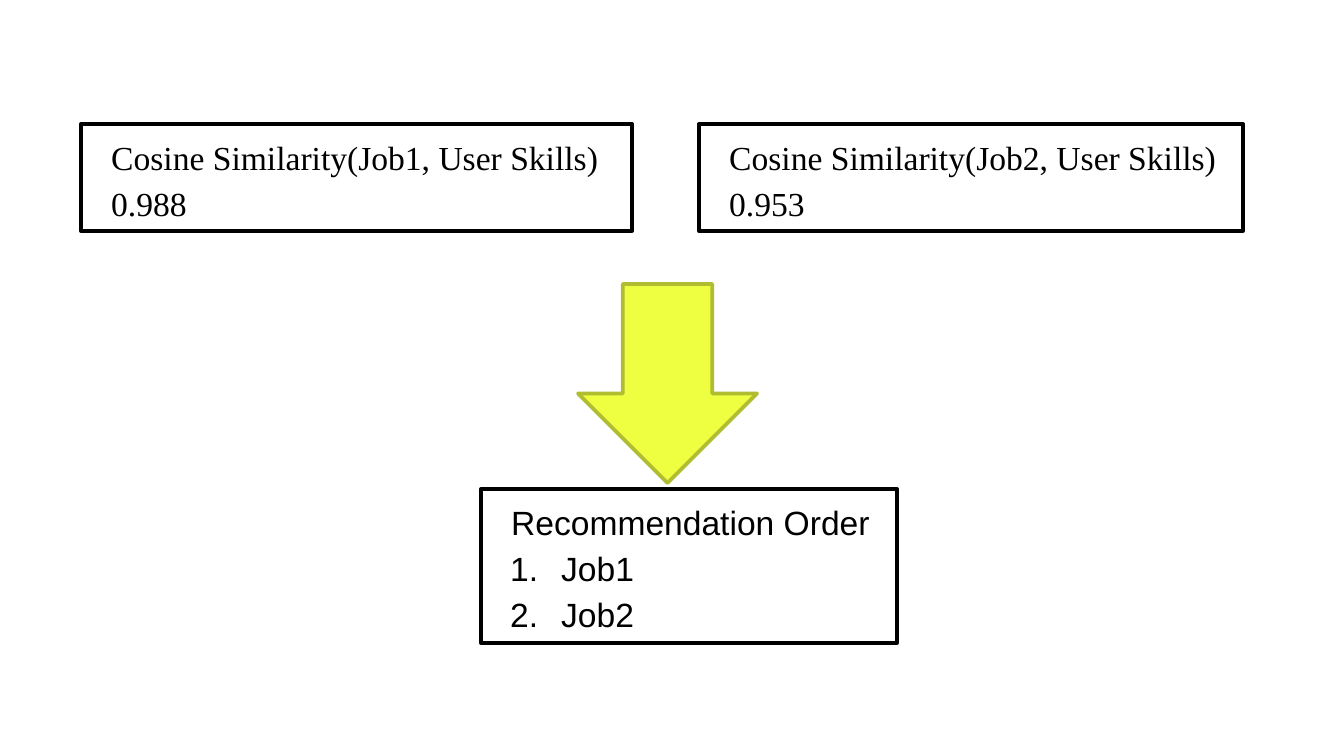
from lxml.etree import SubElement
from pptx import Presentation
from pptx.dml.color import RGBColor as Rgb
from pptx.enum.shapes import MSO_SHAPE as Kind
from pptx.enum.text import MSO_ANCHOR as Anchor, MSO_AUTO_SIZE as Fit, PP_ALIGN as Align
from pptx.oxml.ns import qn
from pptx.util import Pt

# Content
SCORES = [
    ("Cosine Similarity(Job1, User Skills)", "0.988"),
    ("Cosine Similarity(Job2, User Skills)", "0.953"),
]
HEAD = "Recommendation Order"
ORDER = ["Job1", "Job2"]

# Places in px: left, top, width, height
SIZE = (1344, 756)
TOP, HIGH = 124, 107
COLS = [(81, 551), (699, 544)]
ARROW = (578, 284, 179, 199)
RESULT = (481, 489, 416, 154)
INDENT = {"plain": (17, 0), "list": (67, -51)}

THEME = {
    "ink": Rgb.from_string("000000"),
    "paper": Rgb.from_string("FFFFFF"),
    "arrow": Rgb.from_string("EEFF41"),
    "edge": Rgb.from_string("B0BD30"),
    "serif": "Times New Roman",
    "sans": "Arial",
    "text": Pt(18),
    "line": Pt(2),
}
FRAME = {"word_wrap": True, "vertical_anchor": Anchor.TOP,
         "auto_size": Fit.SHAPE_TO_FIT_TEXT}
PARA = {"alignment": Align.LEFT, "line_spacing": 1.15}


def px(n):
    return round(n * 914400 / 134.4)


def apply(item, values):
    for key, value in values.items():
        setattr(item, key, value)


def draw(slide, kind, place, fill, edge):
    shape = slide.shapes.add_shape(kind, *map(px, place))
    shape.shadow.inherit = False
    shape.fill.solid()
    shape.fill.fore_color.rgb = fill
    shape.line.color.rgb = edge
    shape.line.width = THEME["line"]
    return shape


def add_box(slide, place, face, paras):
    """Draw a framed box; each para is a style name and its lines."""
    box = draw(slide, Kind.RECTANGLE, place, THEME["paper"], THEME["ink"])
    frame = box.text_frame
    apply(frame, FRAME)
    for i, (style, lines) in enumerate(paras):
        para = frame.add_paragraph() if i else frame.paragraphs[0]
        apply(para, PARA)
        left, first = INDENT[style]
        props = para._p.get_or_add_pPr()
        props.set("marL", str(px(left)))
        props.set("indent", str(px(first)))
        if style == "list":
            SubElement(props, qn("a:buAutoNum"), type="arabicPeriod")
        for j, line in enumerate(lines):
            if j:
                para.add_line_break()
            run = para.add_run()
            run.text = line
            apply(run.font, {"name": face, "size": THEME["text"]})
            run.font.color.rgb = THEME["ink"]


def main():
    deck = Presentation()
    deck.slide_width, deck.slide_height = map(px, SIZE)
    slide = deck.slides.add_slide(deck.slide_layouts[6])

    # Similarity scores
    for (left, wide), lines in zip(COLS, SCORES):
        add_box(slide, (left, TOP, wide, HIGH), THEME["serif"], [("plain", lines)])

    # Arrow to the result
    draw(slide, Kind.DOWN_ARROW, ARROW, THEME["arrow"], THEME["edge"])

    # Ranked jobs
    ranks = [("list", [job]) for job in ORDER]
    add_box(slide, RESULT, THEME["sans"], [("plain", [HEAD])] + ranks)

    deck.save("out.pptx")


if __name__ == "__main__":
    main()
